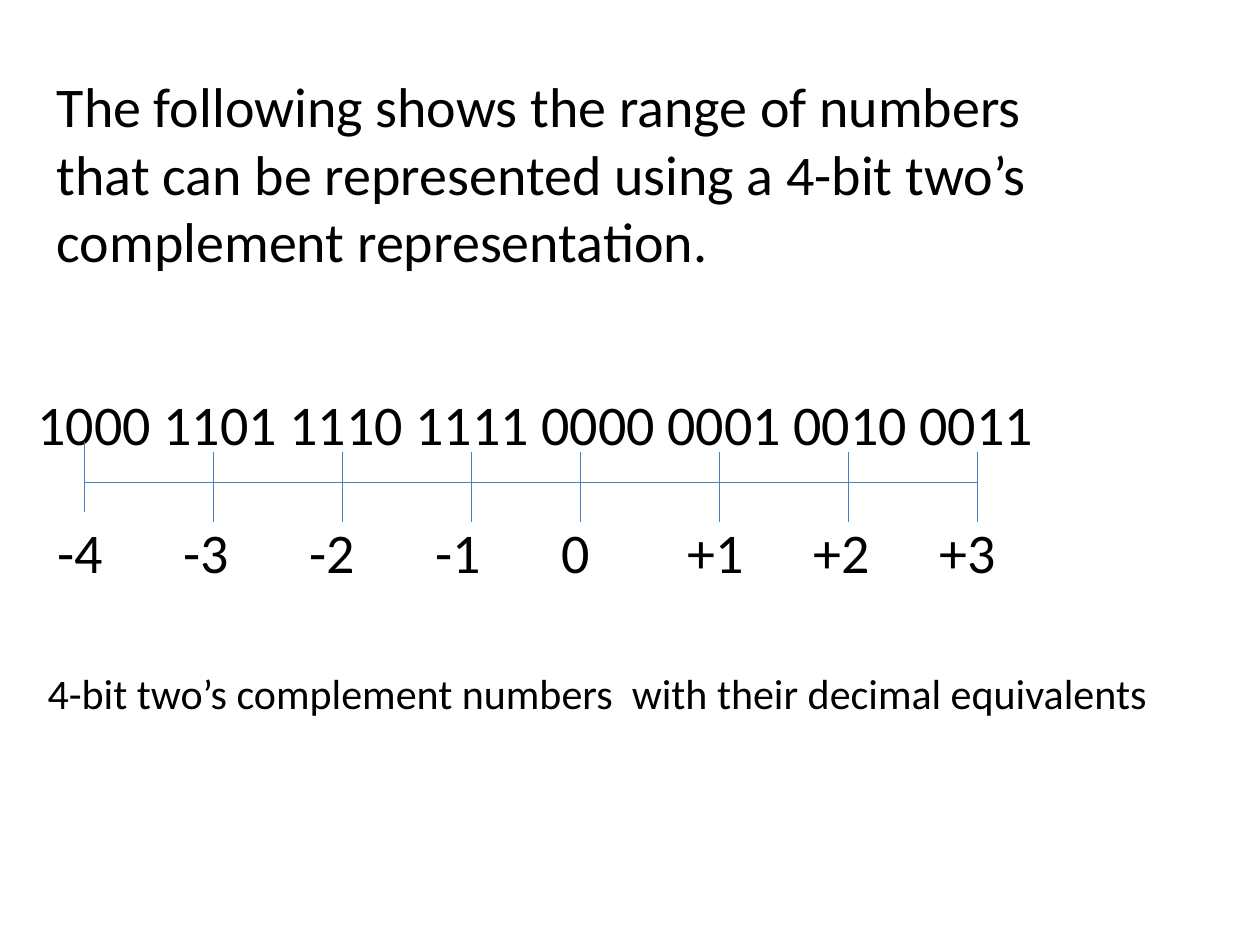
import pptx
import pptx.util
import pptx.dml.color
import pptx.enum.shapes
import pptx.enum.text
import pptx.oxml
import pptx.oxml.ns
from pptx.util import Cm

INK, AXIS_BLUE = "000000", "4B7EBC"
CODES = ["1000", "1101", "1110", "1111", "0000", "0001", "0010", "0011"]
DECIMALS = ["-4", "-3", "-2", "-1", "0", "+1", "+2", "+3"]
TAB_GAP = Cm(2.54)


def colour(value):
    return pptx.dml.color.RGBColor.from_string(value)


def write(holder, text, size, wrap, tabs=0):
    """Fill a shape with one left-aligned paragraph, with equal tab stops."""
    frame = holder.text_frame
    frame.text = text
    frame_format = {
        "word_wrap": wrap,
        "auto_size": pptx.enum.text.MSO_AUTO_SIZE.NONE,
        "vertical_anchor": pptx.enum.text.MSO_ANCHOR.TOP,
    }
    for key, value in frame_format.items():
        setattr(frame, key, value)
    paragraph = frame.paragraphs[0]
    paragraph.alignment = pptx.enum.text.PP_ALIGN.LEFT
    if tabs:
        stops = pptx.oxml.parse_xml(f"<a:tabLst {pptx.oxml.ns.nsdecls('a')}/>")
        for number in range(1, tabs + 1):
            stop = stops.makeelement(pptx.oxml.ns.qn("a:tab"),
                                     {"pos": str(TAB_GAP * number), "algn": "l"})
            stops.append(stop)
        paragraph._p.get_or_add_pPr().append(stops)
    font = paragraph.runs[0].font
    for key, value in {"name": "Calibri", "size": pptx.util.Pt(size)}.items():
        setattr(font, key, value)
    font.color.rgb = colour(INK)


def add_rule(parent, x1, y1, x2, y2):
    rule = parent.add_connector(pptx.enum.shapes.MSO_CONNECTOR.STRAIGHT, x1, y1, x2, y2)
    rule.line.color.rgb = colour(AXIS_BLUE)
    rule.line.width = pptx.util.Pt(0.75)
    rule._element.spPr.append(
        pptx.oxml.parse_xml(f"<a:effectLst {pptx.oxml.ns.nsdecls('a')}/>"))


def add_intro(slide, left, top, width, height):
    intro = slide.shapes.title
    box = {"left": left, "top": top, "width": width, "height": height}
    for key, value in box.items():
        setattr(intro, key, value)
    write(intro, "The following shows the range of numbers that can be represented "
                 "using a 4-bit two’s complement representation.", 32, True)


def add_number_line(slide, left, top, width):
    parts = slide.shapes.add_group_shape().shapes

    # Binary codes above, decimal values below
    codes = parts.add_textbox(left, top, width, Cm(1.63))
    write(codes, "\t".join(CODES), 32, False, len(CODES) - 1)
    decimals = parts.add_textbox(left + Cm(0.4), top + Cm(2.59),
                                 width - Cm(1.17), Cm(1.63))
    write(decimals, "\t".join(DECIMALS), 32, False, len(DECIMALS) - 1)

    # Axis
    start, end = left + Cm(1.19), left + Cm(19.2)
    axis_y = top + Cm(2.01)
    add_rule(parts, start, axis_y, end, axis_y)

    # Ticks: negatives step from the left end, positives back from the right
    step = Cm(2.6)
    negatives = [start + step * i for i in range(4)]
    positives = [end - step * i for i in (2, 1, 0)]
    zero = left + Cm(11.2)
    for index, x in enumerate(negatives + [zero] + positives):
        tick_top = top + (Cm(1.2) if index == 0 else Cm(1.4))
        add_rule(parts, x, tick_top, x, tick_top + Cm(1.4))


def add_caption(slide, left, top, width, height):
    caption = slide.shapes.add_textbox(left, top, width, height)
    write(caption, "4-bit two’s complement numbers  with their decimal equivalents",
          24, False)


def main():
    deck = pptx.Presentation()
    deck.slide_width, deck.slide_height = Cm(25.4), Cm(19.05)
    slide = deck.slides.add_slide(deck.slide_layouts[5])
    add_intro(slide, Cm(0.89), Cm(1.32), Cm(20.6), Cm(4.37))
    add_number_line(slide, Cm(0.51), Cm(7.72), Cm(20.78))
    add_caption(slide, Cm(0.71), Cm(13.34), Cm(22.89), Cm(1.27))
    deck.save("out.pptx")


if __name__ == "__main__":
    main()
